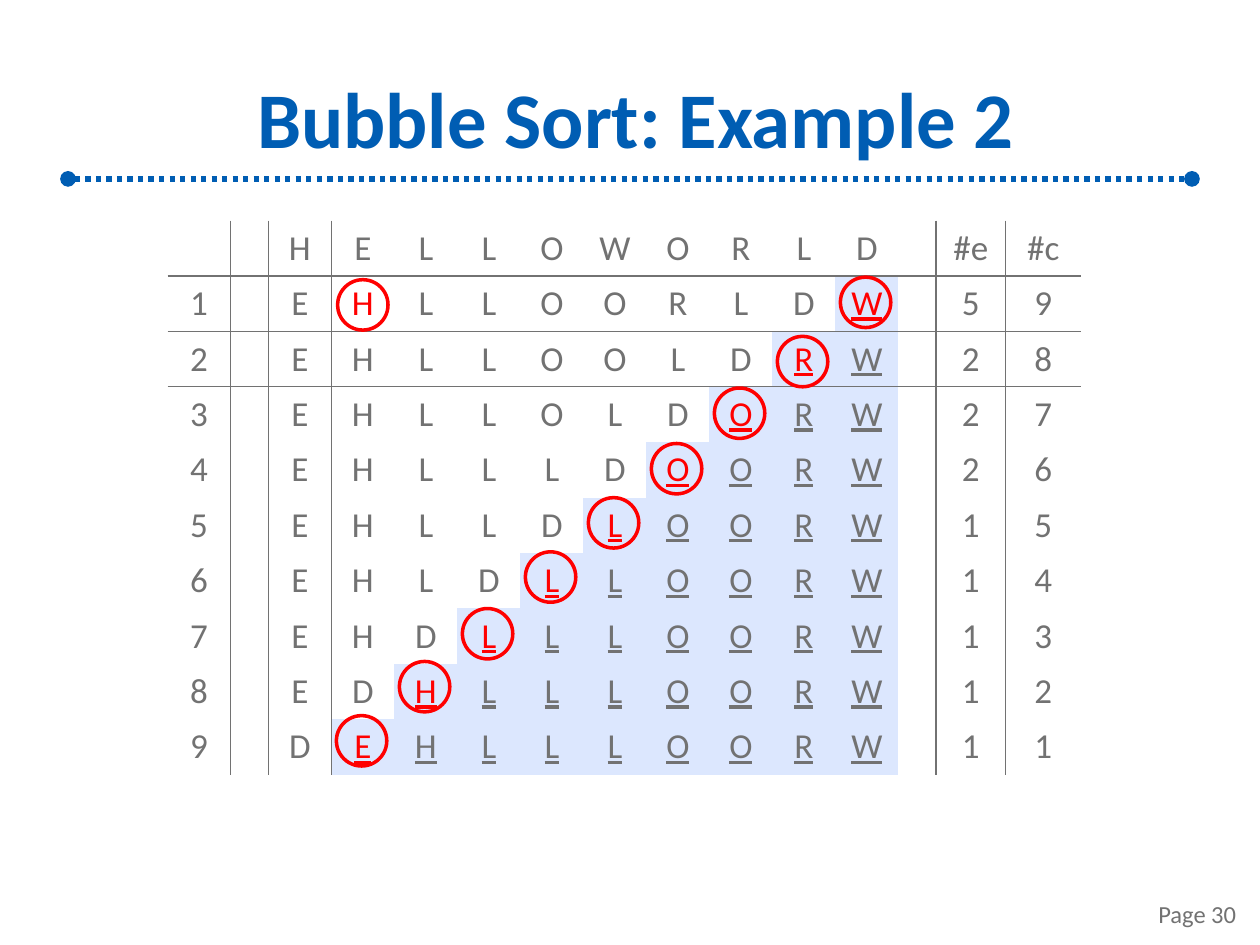
"""Build the bubble sort example slide."""
from lxml import etree
from pptx import Presentation
from pptx.dml.color import RGBColor
from pptx.enum.dml import MSO_LINE
from pptx.enum.shapes import MSO_CONNECTOR, MSO_SHAPE
from pptx.enum.text import MSO_ANCHOR, PP_ALIGN
from pptx.oxml.ns import qn
from pptx.util import Inches, Pt

OVAL, STRAIGHT = MSO_SHAPE.OVAL, MSO_CONNECTOR.STRAIGHT
MIDDLE, BOTTOM = MSO_ANCHOR.MIDDLE, MSO_ANCHOR.BOTTOM
CENTER, RIGHT = PP_ALIGN.CENTER, PP_ALIGN.RIGHT
DOTTED = MSO_LINE.ROUND_DOT
COLORS = {"blue": "005DB3", "gray": "727272", "red": "FF0000", "sorted": "DCE7FE"}
NO_STYLE = "{2D5ABB26-0587-4C30-8999-92F81FD0307C}"

PASSES = [
    ("EHLLOORLDW", 5), ("EHLLOOLDRW", 2), ("EHLLOLDORW", 2),
    ("EHLLLDOORW", 2), ("EHLLDLOORW", 1), ("EHLDLLOORW", 1),
    ("EHDLLLOORW", 1), ("EDHLLLOORW", 1), ("DEHLLLOORW", 1),
]
COLUMN_WIDTHS = [0.5, 0.3] + [0.5] * 10 + [0.3, 0.55, 0.6]
FIRST_LETTER = 2
RULED_COLUMNS = (0, 1, 12, 13)
RULED_ROWS = (0, 1)
ROW_HEIGHT = 0.44
CIRCLE_TOPS = [2.2, 2.67, 3.08, 3.52, 3.95, 4.38, 4.83, 5.25, 5.68]


def write(frame, text, size, color, align, bold=False, underline=False):
    paragraph = frame.paragraphs[0]
    paragraph.text = text
    paragraph.alignment = align
    font = paragraph.font
    font.name, font.size, font.bold = "Calibri", Pt(size), bold
    font.underline = underline
    font.color.rgb = RGBColor.from_string(COLORS[color])


def add_borders(cell, sides):
    properties = cell._tc.get_or_add_tcPr()
    for index, side in enumerate(sides):
        border = etree.Element(qn(f"a:ln{side}"), w=str(Pt(1)))
        fill = etree.SubElement(border, qn("a:solidFill"))
        etree.SubElement(fill, qn("a:srgbClr"), val=COLORS["gray"])
        properties.insert(index, border)


prs = Presentation()
prs.slide_width, prs.slide_height = Inches(10), Inches(7.5)
slide = prs.slides.add_slide(prs.slide_layouts[6])

divider = slide.shapes.add_connector(
    STRAIGHT, Inches(0.54), Inches(1.42), Inches(9.46), Inches(1.42))
divider.line.color.rgb = RGBColor.from_string(COLORS["blue"])
divider.line.width = Pt(3)
divider.line.dash_style = DOTTED
for end in ("headEnd", "tailEnd"):
    etree.SubElement(divider.line._get_or_add_ln(), qn(f"a:{end}"), type="oval")
etree.SubElement(divider._element.spPr, qn("a:effectLst"))

title = slide.shapes.add_textbox(
    Inches(0.67), Inches(0.42), Inches(8.75), Inches(1.01)).text_frame
title.word_wrap = True
title.vertical_anchor = MIDDLE
title.margin_left = title.margin_right = Inches(0.04)
title.margin_top = title.margin_bottom = Inches(0.04)
write(title, "Bubble Sort: Example 2", 45, "blue", CENTER, bold=True)

page = slide.shapes.add_textbox(
    Inches(7.58), Inches(6.9), Inches(2.33), Inches(0.52)).text_frame
page.word_wrap = True
page.vertical_anchor = BOTTOM
write(page, "Page 30", 14, "gray", RIGHT)

rows = [["", "", *"HELLOWORLD", "", "#e", "#c"]]
for number, (letters, exchanges) in enumerate(PASSES, start=1):
    rows.append([str(number), "", *letters, "", str(exchanges), str(10 - number)])

trace_frame = slide.shapes.add_table(
    len(rows), len(COLUMN_WIDTHS), Inches(1.33), Inches(1.75),
    Inches(sum(COLUMN_WIDTHS)), Inches(ROW_HEIGHT * len(rows)))
trace = trace_frame.table
trace._tbl.tblPr.find(qn("a:tableStyleId")).text = NO_STYLE
trace.first_row = trace.horz_banding = False
for column, width in zip(trace.columns, COLUMN_WIDTHS):
    column.width = Inches(width)

for r, values in enumerate(rows):
    trace.rows[r].height = Inches(ROW_HEIGHT)
    newest = FIRST_LETTER + 10 - r
    for c, value in enumerate(values):
        cell = trace.cell(r, c)
        cell.vertical_anchor = MIDDLE
        in_order = r > 0 and newest <= c < FIRST_LETTER + 10
        marked = (in_order and c == newest) or (r, c) == (1, FIRST_LETTER + 1)
        write(cell.text_frame, value, 20, "red" if marked else "gray", CENTER,
              underline=in_order)
        if in_order:
            cell.fill.solid()
            cell.fill.fore_color.rgb = RGBColor.from_string(COLORS["sorted"])
        else:
            cell.fill.background()
        sides = {"L": c - 1 in RULED_COLUMNS, "R": c in RULED_COLUMNS,
                 "T": r - 1 in RULED_ROWS, "B": r in RULED_ROWS}
        add_borders(cell, [side for side, ruled in sides.items() if ruled])

circles = [(6.67 - 0.5 * step, top) for step, top in enumerate(CIRCLE_TOPS)]
for left, top in [(2.68, 2.22), *circles]:
    circle = slide.shapes.add_shape(
        OVAL, Inches(left), Inches(top), Inches(0.4), Inches(0.4))
    circle.shadow.inherit = False
    circle.fill.background()
    circle.line.color.rgb = RGBColor.from_string(COLORS["red"])
    circle.line.width = Pt(2)

prs.save("out.pptx")
